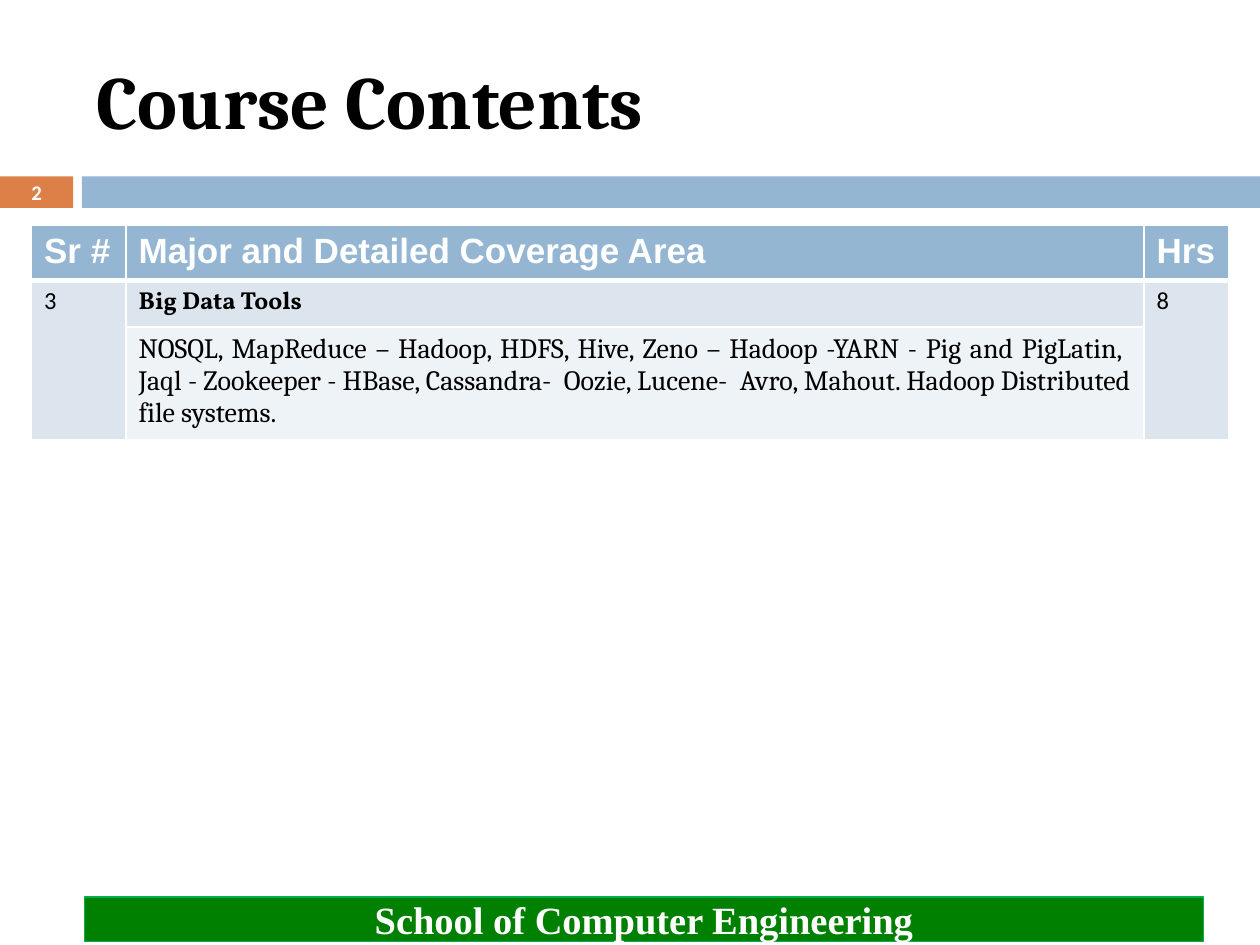
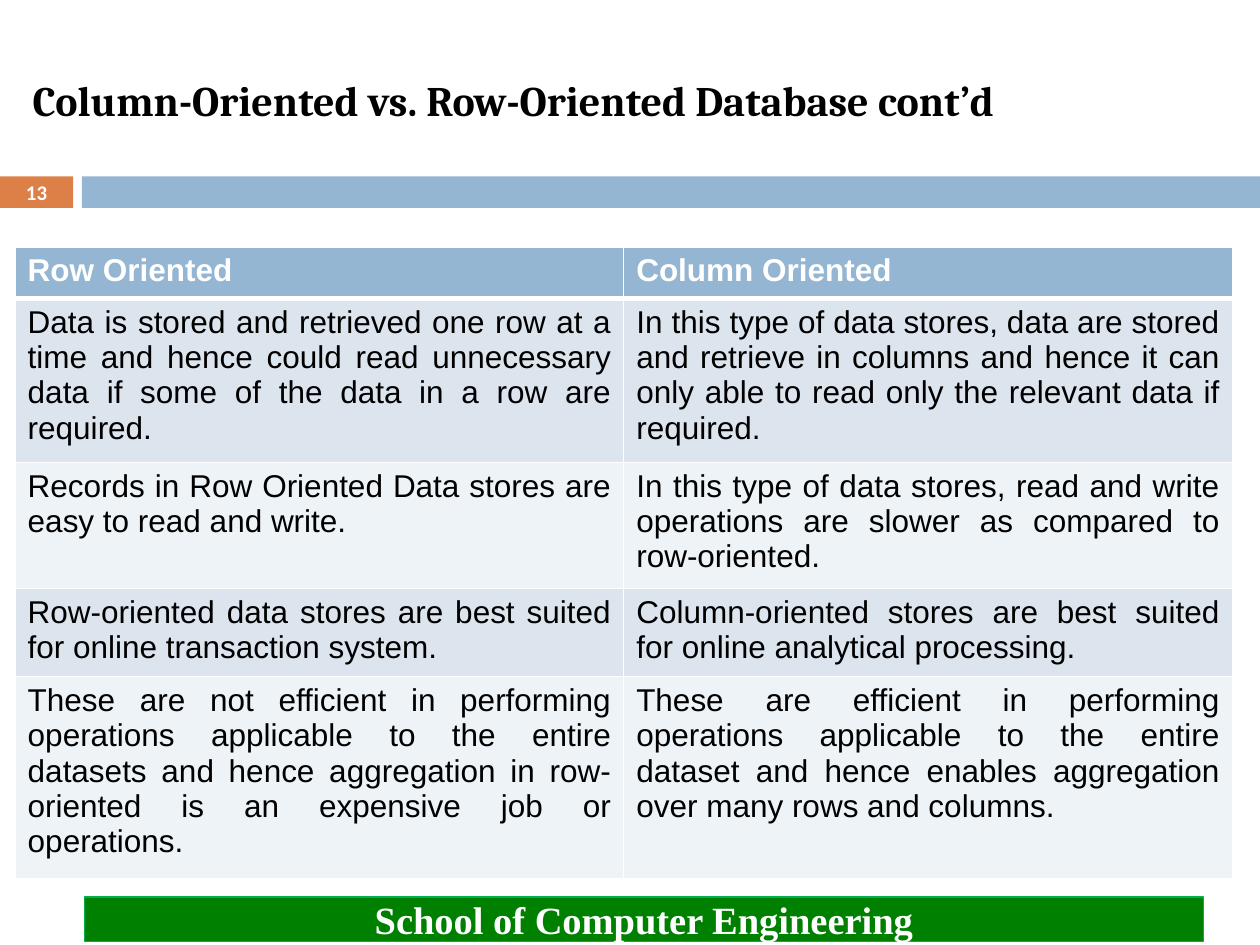
from dataclasses import dataclass, replace

from lxml import etree
from pptx import Presentation
from pptx.dml.color import RGBColor
from pptx.enum.shapes import MSO_SHAPE
from pptx.enum.text import MSO_ANCHOR, PP_ALIGN
from pptx.oxml.ns import qn
from pptx.util import Inches, Pt

RECT = MSO_SHAPE.RECTANGLE
MIDDLE = MSO_ANCHOR.MIDDLE
LEFT, CENTER, JUSTIFY = PP_ALIGN.LEFT, PP_ALIGN.CENTER, PP_ALIGN.JUSTIFY

SLIDE_W, SLIDE_H = Inches(10), Inches(7.5)
GRID_COLS, GRID_ROWS = 100, 75


@dataclass(frozen=True)
class Theme:
    white: str = "FFFFFF"
    black: str = "000000"
    orange: str = "DD8047"
    blue: str = "94B6D2"
    band_dark: str = "DCE5EE"
    band_light: str = "EEF3F7"
    green: str = "008000"
    green_edge: str = "00B050"
    heading_font: str = "Cambria"
    table_font: str = "Arial"
    number_font: str = "Calibri"
    footer_font: str = "Times New Roman"
    accent_font: str = "Vollkorn"
    footer_size: float = 22
    number_size: float = 11.9
    thin: float = 1
    thick: float = 3
    edge: float = 0.75


THEME = Theme()


@dataclass(frozen=True)
class Box:
    x: float
    y: float
    w: float
    h: float


@dataclass(frozen=True)
class Cell:
    text: str
    size: float = 18
    font: str = THEME.table_font
    bold: bool = False
    color: str = THEME.black
    align: PP_ALIGN = LEFT
    rowspan: int = 1


@dataclass(frozen=True)
class TableSpec:
    x: float
    y: float
    widths: tuple[float, ...]
    heights: tuple[float, ...]
    cells: dict[tuple[int, int], Cell]


@dataclass(frozen=True)
class Page:
    number: int
    title: str
    title_x: float
    title_size: float
    table: TableSpec


NUMBER_BAND = Box(0, 14, 5.8, 2.5)
NUMBER_TEXT = Box(0, 13.9, 5.8, 2.7)
RULE_BAND = Box(6.5, 14, 93.5, 2.5)
TITLE = Box(6.7, 2.5, 89.2, 10.8)
FOOTER = Box(6.7, 71.2, 88.8, 3.5)


def col(n: float) -> int:
    return round(SLIDE_W * n / GRID_COLS)


def row(n: float) -> int:
    return round(SLIDE_H * n / GRID_ROWS)


def place(box: Box) -> tuple[int, int, int, int]:
    return col(box.x), row(box.y), col(box.w), row(box.h)


def write(tf, text: str, *, size: float, font: str, color: str,
          bold: bool = True, align: PP_ALIGN = LEFT) -> None:
    tf.word_wrap = True
    p = tf.paragraphs[0]
    p.alignment = align
    r = p.add_run()
    r.text = text
    r.font.size = Pt(size)
    r.font.name = font
    r.font.bold = bold
    r.font.color.rgb = RGBColor.from_string(color)


def add_band(s, box: Box, fill: str, line: str | None = None):
    sp = s.shapes.add_shape(RECT, *place(box))
    sp.shadow.inherit = False
    sp.fill.solid()
    sp.fill.fore_color.rgb = RGBColor.from_string(fill)
    if line:
        sp.line.color.rgb = RGBColor.from_string(line)
        sp.line.width = Pt(THEME.edge)
    else:
        sp.line.fill.background()
    return sp


def add_text(s, box: Box, text: str, **style) -> None:
    tf = s.shapes.add_textbox(*place(box)).text_frame
    tf.vertical_anchor = MIDDLE
    write(tf, text, **style)


def set_borders(cell, top: float, bottom: float) -> None:
    tc_pr = cell._tc.get_or_add_tcPr()
    widths = {"lnL": THEME.thin, "lnR": THEME.thin, "lnT": top, "lnB": bottom}
    for i, (side, width) in enumerate(widths.items()):
        ln = etree.Element(qn(f"a:{side}"), w=str(Pt(width)))
        fill = etree.SubElement(ln, qn("a:solidFill"))
        etree.SubElement(fill, qn("a:srgbClr"), val=THEME.white)
        tc_pr.insert(i, ln)


def row_fill(i: int) -> str:
    if i == 0:
        return THEME.blue
    return THEME.band_dark if i % 2 else THEME.band_light


def add_table(s, spec: TableSpec) -> None:
    box = Box(spec.x, spec.y, sum(spec.widths), sum(spec.heights))
    shape = s.shapes.add_table(len(spec.heights), len(spec.widths), *place(box))
    table = shape.table
    table.horz_banding = False
    for j, width in enumerate(spec.widths):
        table.columns[j].width = col(width)
    for i, height in enumerate(spec.heights):
        table.rows[i].height = row(height)
        for j in range(len(spec.widths)):
            cell = table.cell(i, j)
            cell.fill.solid()
            cell.fill.fore_color.rgb = RGBColor.from_string(row_fill(i))
            set_borders(cell, THEME.thick if i == 1 else THEME.thin,
                        THEME.thick if i == 0 else THEME.thin)
    for (i, j), item in spec.cells.items():
        cell = table.cell(i, j)
        if item.rowspan > 1:
            cell.merge(table.cell(i + item.rowspan - 1, j))
        write(cell.text_frame, item.text, size=item.size, font=item.font,
              color=item.color, bold=item.bold, align=item.align)


def add_page(prs, page: Page) -> None:
    s = prs.slides.add_slide(prs.slide_layouts[6])
    add_band(s, NUMBER_BAND, THEME.orange)
    add_band(s, RULE_BAND, THEME.blue)
    add_text(s, replace(TITLE, x=page.title_x), page.title,
             size=page.title_size, font=THEME.heading_font, color=THEME.black)
    footer = add_band(s, FOOTER, THEME.green, THEME.green_edge)
    footer.text_frame.vertical_anchor = MIDDLE
    write(footer.text_frame, "School of Computer Engineering",
          size=THEME.footer_size, font=THEME.footer_font,
          color=THEME.white, align=CENTER)
    add_text(s, NUMBER_TEXT, str(page.number), size=THEME.number_size,
             font=THEME.number_font, color=THEME.white, align=CENTER)
    add_table(s, page.table)


def header(labels: tuple[str, ...], size: float) -> dict[tuple[int, int], Cell]:
    return {(0, j): Cell(label, size, bold=True, color=THEME.white)
            for j, label in enumerate(labels)}


COURSE_CELLS = header(("Sr #", "Major and Detailed Coverage Area", "Hrs"), 20) | {
    (1, 0): Cell("3", 14, THEME.number_font, rowspan=2),
    (1, 1): Cell("Big Data Tools", 14, THEME.accent_font, bold=True),
    (1, 2): Cell("8", 14, THEME.number_font, rowspan=2),
    (2, 1): Cell(
        "NOSQL, MapReduce – Hadoop, HDFS, Hive, Zeno – Hadoop -YARN - Pig and "
        "PigLatin,  Jaql - Zookeeper - HBase, Cassandra-  Oozie, Lucene-  Avro, "
        "Mahout. Hadoop Distributed file systems.",
        16, THEME.heading_font, align=JUSTIFY),
}

COMPARISON = (
    ("Data is stored and retrieved one row at a time and hence could read "
     "unnecessary data if some of the data in a row are required.",
     "In this type of data stores, data are stored and retrieve in columns and "
     "hence it can only able to read only the relevant data if required."),
    ("Records in Row Oriented Data stores are easy to read and write.",
     "In this type of data stores, read and write operations are slower as "
     "compared to row-oriented."),
    ("Row-oriented data stores are best suited for online transaction system.",
     "Column-oriented stores are best suited for online analytical processing."),
    ("These are not efficient in performing operations applicable to the entire "
     "datasets and hence aggregation in row-oriented is an expensive job or "
     "operations.",
     "These are efficient in performing operations applicable to the entire "
     "dataset and hence enables aggregation over many rows and columns."),
)

COMPARISON_CELLS = header(("Row Oriented", "Column Oriented"), 18) | {
    (i, j): Cell(text, align=JUSTIFY)
    for i, pair in enumerate(COMPARISON, start=1)
    for j, text in enumerate(pair)
}

PAGES = (
    Page(2, "Course Contents", 6.7, 43,
         TableSpec(2.5, 17.9, (7.5, 80.8, 6.7), (4, 3.7, 8.6), COURSE_CELLS)),
    Page(13, "Column-Oriented vs. Row-Oriented Database cont’d", 1.6, 24,
         TableSpec(1.2, 19.6, (48.3, 48.3), (4.1, 12.1, 9.4, 6.6, 14.9),
                   COMPARISON_CELLS)),
)


def main() -> None:
    prs = Presentation()
    prs.slide_width, prs.slide_height = SLIDE_W, SLIDE_H
    for page in PAGES:
        add_page(prs, page)
    prs.save("out.pptx")


if __name__ == "__main__":
    main()
